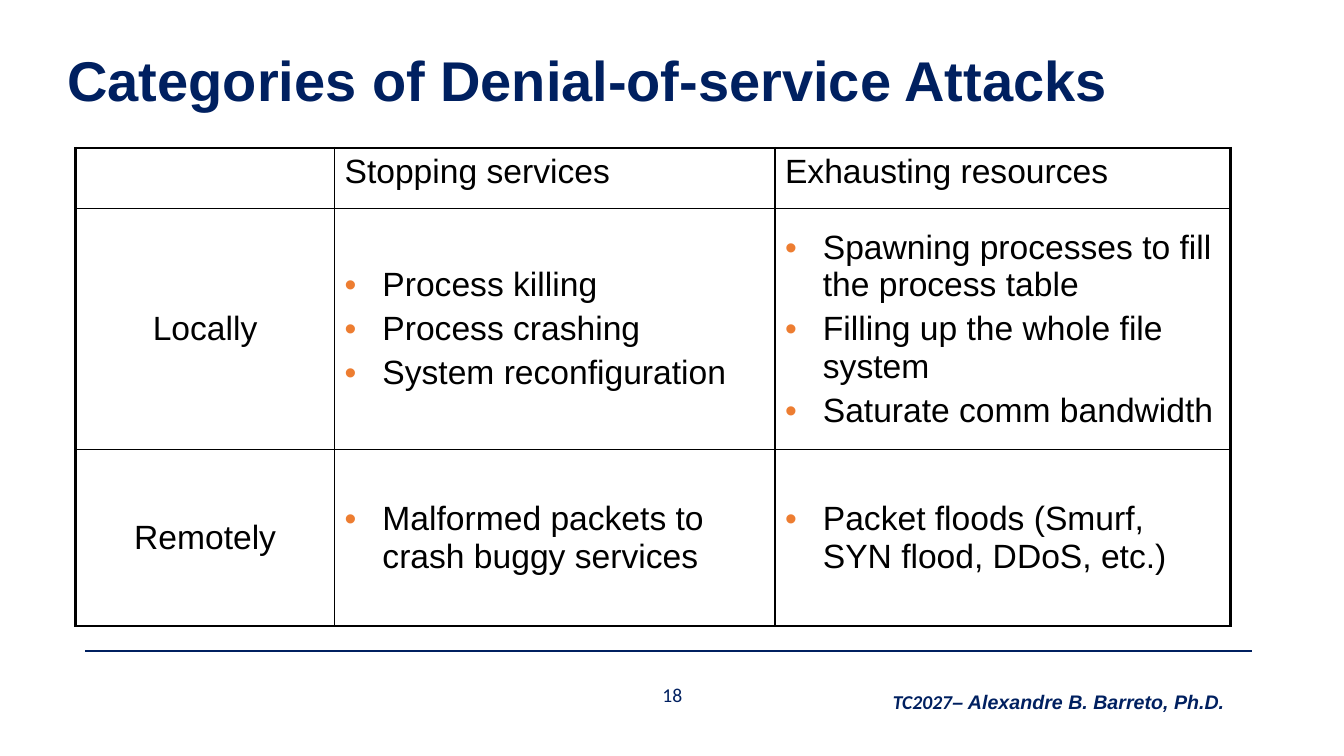
from dataclasses import dataclass

from lxml.etree import SubElement
from pptx import Presentation
from pptx.dml.color import RGBColor as Rgb
from pptx.enum.shapes import MSO_CONNECTOR as Link
from pptx.enum.text import MSO_ANCHOR as Anchor, MSO_AUTO_SIZE as Fit, PP_ALIGN as Align
from pptx.oxml import parse_xml
from pptx.oxml.ns import nsdecls, qn
from pptx.util import Pt


@dataclass(frozen=True)
class Theme:
    navy: str = "002060"
    black: str = "000000"
    orange: str = "ED7D31"
    sans: str = "Arial"
    foot: str = "Calibri"
    title: float = 40
    body: float = 24
    small: float = 14
    thick: float = 2.25
    thin: float = 1


@dataclass(frozen=True)
class Entry:
    lines: tuple[str, ...] = ()
    align: Align = Align.LEFT
    anchor: Anchor = Anchor.MIDDLE
    bullet: bool = False


@dataclass(frozen=True)
class Box:
    left: float
    top: float
    width: float
    height: float

    def place(self) -> tuple[Pt, Pt, Pt, Pt]:
        return Pt(self.left), Pt(self.top), Pt(self.width), Pt(self.height)


THEME = Theme()
TITLE = Box(41, 14.4, 864, 90)
GRID = Box(54, 105.8, 825.1, 341.3)
NUMBER = Box(418.3, 488.9, 123.8, 14.4)
CREDIT = Box(624.2, 489.6, 264.2, 24.5)
COLS = (185, 314.6, 325.5)
ROWS = (43.2, 172.1, 126)
INDENT = 27
GAP = 4.8


def head(text: str) -> Entry:
    return Entry((text,), anchor=Anchor.TOP)


def side(text: str) -> Entry:
    return Entry((text,), align=Align.CENTER)


def points(*lines: str) -> Entry:
    return Entry(lines, bullet=True)


CELLS = (
    (Entry(), head("Stopping services"), head("Exhausting resources")),
    (
        side("Locally"),
        points("Process killing", "Process crashing", "System reconfiguration"),
        points(
            "Spawning processes to fill the process table",
            "Filling up the whole file system",
            "Saturate comm bandwidth",
        ),
    ),
    (
        side("Remotely"),
        points("Malformed packets to crash buggy services"),
        points("Packet floods (Smurf, SYN flood, DDoS, etc.)"),
    ),
)


def write(para, text: str, *, size: float, color: str, font: str = THEME.sans,
          align: Align = Align.LEFT, bold: bool = False, slant: bool = False) -> None:
    """Add one formatted run to a paragraph."""
    para.alignment = align
    run = para.add_run()
    run.text = text
    face = run.font
    face.name, face.size, face.bold, face.italic = font, Pt(size), bold, slant
    face.color.rgb = Rgb.from_string(color)


def dot(para) -> None:
    """Give a paragraph a hanging bullet."""
    props = para._p.get_or_add_pPr()
    props.set("marL", str(Pt(INDENT)))
    props.set("indent", str(-Pt(INDENT)))
    tint = SubElement(props, qn("a:buClr"))
    SubElement(tint, qn("a:srgbClr"), val=THEME.orange)
    SubElement(props, qn("a:buFont"), typeface=THEME.sans)
    SubElement(props, qn("a:buChar"), char="•")


def frame(cell, row: int, col: int) -> None:
    """Draw thick lines on the table's rim and thin ones inside."""
    rims = {
        "L": col == 0,
        "R": col == len(COLS) - 1,
        "T": row == 0,
        "B": row == len(ROWS) - 1,
    }
    props = cell._tc.get_or_add_tcPr()
    for spot, (edge, rim) in enumerate(rims.items()):
        width = Pt(THEME.thick if rim else THEME.thin)
        props.insert(spot, parse_xml(
            f'<a:ln{edge} {nsdecls("a")} w="{width}"><a:solidFill>'
            f'<a:srgbClr val="{THEME.black}"/></a:solidFill></a:ln{edge}>'))


def fill(cell, entry: Entry) -> None:
    cell.fill.background()
    cell.vertical_anchor = entry.anchor
    for spot, line in enumerate(entry.lines):
        body = cell.text_frame
        para = body.add_paragraph() if spot else body.paragraphs[0]
        para.space_before = Pt(GAP)
        write(para, line, size=THEME.body, color=THEME.black, align=entry.align)
        if entry.bullet:
            dot(para)


def add_title(slide) -> None:
    title = slide.shapes.title
    title.left, title.top, title.width, title.height = TITLE.place()
    body = title.text_frame
    body.auto_size, body.vertical_anchor = Fit.NONE, Anchor.MIDDLE
    para = body.paragraphs[0]
    para.line_spacing = 0.9
    write(para, "Categories of Denial-of-service Attacks",
          size=THEME.title, color=THEME.navy, bold=True)


def add_grid(slide) -> None:
    table = slide.shapes.add_table(len(ROWS), len(COLS), *GRID.place()).table
    table.first_row = table.horz_banding = False
    for col, width in zip(table.columns, COLS):
        col.width = Pt(width)
    for row, height in zip(table.rows, ROWS):
        row.height = Pt(height)
    for row, line in enumerate(CELLS):
        for col, entry in enumerate(line):
            cell = table.cell(row, col)
            fill(cell, entry)
            frame(cell, row, col)


def add_rule(slide) -> None:
    rule = slide.shapes.add_connector(
        Link.STRAIGHT, Pt(60.8), Pt(465), Pt(894), Pt(465))
    rule.line.color.rgb = Rgb.from_string(THEME.navy)
    rule.line.width = Pt(1.5)
    SubElement(rule._element.spPr, qn("a:effectLst"))


def add_box(slide, box: Box, anchor: Anchor):
    """Add a text box and return its first paragraph."""
    body = slide.shapes.add_textbox(*box.place()).text_frame
    body.word_wrap, body.vertical_anchor = True, anchor
    return body.paragraphs[0]


def add_foot(slide) -> None:
    style = dict(size=THEME.small, color=THEME.navy, align=Align.CENTER)
    write(add_box(slide, NUMBER, Anchor.MIDDLE), "18", font=THEME.foot, **style)
    para = add_box(slide, CREDIT, Anchor.TOP)
    for text, font in (("TC2027", THEME.foot),
                       ("– Alexandre B. Barreto, Ph.D.", THEME.sans)):
        write(para, text, font=font, bold=True, slant=True, **style)


def main() -> None:
    deck = Presentation()
    deck.slide_width, deck.slide_height = Pt(960), Pt(540)
    slide = deck.slides.add_slide(deck.slide_layouts[5])
    add_rule(slide)
    add_foot(slide)
    add_title(slide)
    add_grid(slide)
    deck.save("out.pptx")


if __name__ == "__main__":
    main()
